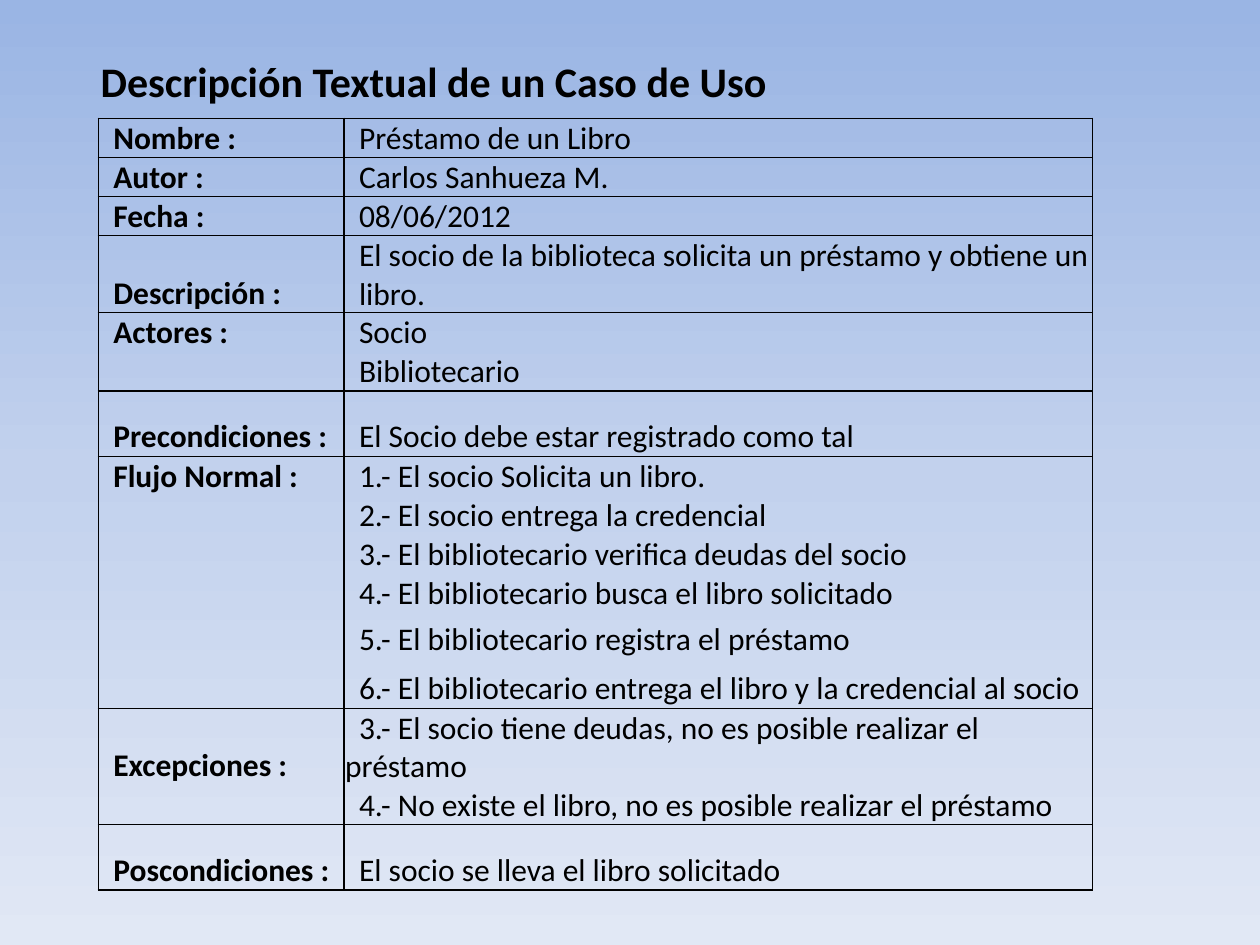
from copy import deepcopy

from pptx import Presentation
from pptx.dml.color import RGBColor
from pptx.enum.text import MSO_ANCHOR as Anchor, MSO_AUTO_SIZE as AutoSize
from pptx.oxml.ns import qn
from pptx.oxml.xmlchemy import OxmlElement as Element
from pptx.util import Emu, Inches, Pt

FONT = "Calibri"
INDENT = Inches(0.11)
COLS = [1.95, 5.94]
ROW, TALL = 0.31, 0.52
GRADIENT = [(0, "9AB5E4"), (0.5, "C2D1ED"), (1, "E1E8F5")]

# Each section: label and its (text, row height) lines
SECTIONS = [
    ("Nombre :", [("Préstamo de un Libro", ROW)]),
    ("Autor :", [("Carlos Sanhueza M.", ROW)]),
    ("Fecha :", [("08/06/2012", ROW)]),
    ("Descripción :", [
        ("El socio de la biblioteca solicita un préstamo y obtiene un libro.", TALL)]),
    ("Actores :", [("Socio", ROW), ("Bibliotecario", ROW)]),
    ("Precondiciones :", [("El Socio debe estar registrado como tal", TALL)]),
    ("Flujo Normal :", [
        ("1.- El socio Solicita un libro.", ROW),
        ("2.- El socio entrega la credencial", ROW),
        ("3.- El bibliotecario verifica deudas del socio", ROW),
        ("4.- El bibliotecario busca el libro solicitado", ROW),
        ("5.- El bibliotecario registra el préstamo", 0.37),
        ("6.- El bibliotecario entrega el libro y la credencial al socio", 0.39)]),
    ("Excepciones :", [
        ("3.- El socio tiene deudas, no es posible realizar el préstamo", TALL),
        ("4.- No existe el libro, no es posible realizar el préstamo", ROW)]),
    ("Poscondiciones :", [("El socio se lleva el libro solicitado", TALL)]),
]


def color(value):
    return RGBColor.from_string(value)


def write(tf, text, size=18, bold=False, fill="000000", margin=0, first=0):
    """Write one formatted paragraph; margin and first are its indents."""
    p = tf.paragraphs[0]
    pPr = p._p.get_or_add_pPr()
    pPr.set("marL", str(margin))
    pPr.set("indent", str(first))
    r = p.add_run()
    r.text = text
    r.font.name, r.font.size, r.font.bold = FONT, Pt(size), bold
    r.font.color.rgb = color(fill)


def paint_background(s):
    fill = s.background.fill
    fill.gradient()
    fill.gradient_angle = 270
    stops = s.element.find(".//" + qn("a:gsLst"))
    stops.insert(1, deepcopy(stops[0]))
    for stop, (position, value) in zip(fill.gradient_stops, GRADIENT):
        stop.position = position
        stop.color.rgb = color(value)


def add_title(s, text):
    box = s.shapes.add_textbox(Inches(0.7), Inches(0.39), Inches(6.8), Inches(0.5))
    tf = box.text_frame
    tf.word_wrap = True
    tf.auto_size = AutoSize.SHAPE_TO_FIT_TEXT
    write(tf, text, size=24, bold=True)


def set_borders(cell, sides):
    """Draw a black line on the given sides and none on the others."""
    tcPr = cell._tc.get_or_add_tcPr()
    for i, side in enumerate("LRTB"):
        ln = Element(f"a:ln{side}")
        ln.set("w", str(Pt(1)))
        if side in sides:
            clr = Element("a:srgbClr")
            clr.set("val", "000000")
            fill = Element("a:solidFill")
            fill.append(clr)
        else:
            fill = Element("a:noFill")
        ln.append(fill)
        tcPr.insert(i, ln)


def fill_cell(cell, text, sides, **fmt):
    cell.fill.background()
    cell.vertical_anchor = Anchor.BOTTOM
    cell.margin_left = cell.margin_right = cell.margin_top = Inches(0.01)
    cell.margin_bottom = Emu(0)
    set_borders(cell, sides)
    if text:
        write(cell.text_frame, text, **fmt)


def add_case_table(s, left, top):
    heights = [h for _, lines in SECTIONS for _, h in lines]
    table = s.shapes.add_table(len(heights), len(COLS), Inches(left), Inches(top),
                               Inches(sum(COLS)), Inches(sum(heights))).table
    table.first_row = table.horz_banding = False
    for col, width in zip(table.columns, COLS):
        col.width = Inches(width)
    for row, height in zip(table.rows, heights):
        row.height = Inches(height)

    # Lines of one section share a frame without inner rules
    n = 0
    for label, lines in SECTIONS:
        for i, (text, _) in enumerate(lines):
            sides = "LR" + "T" * (i == 0) + "B" * (i == len(lines) - 1)
            fill_cell(table.cell(n, 0), "" if i else label, sides,
                      bold=True, margin=INDENT)
            # Numbered steps wrap back to the cell edge
            indent = {"first": INDENT} if ".-" in text else {"margin": INDENT}
            fill_cell(table.cell(n, 1), text, sides, **indent)
            n += 1


def main():
    prs = Presentation()
    prs.slide_width, prs.slide_height = Inches(10), Inches(7.5)
    s = prs.slides.add_slide(prs.slide_layouts[6])
    paint_background(s)
    add_title(s, "Descripción Textual de un Caso de Uso")
    add_case_table(s, 0.78, 0.94)
    prs.save("out.pptx")


if __name__ == "__main__":
    main()
